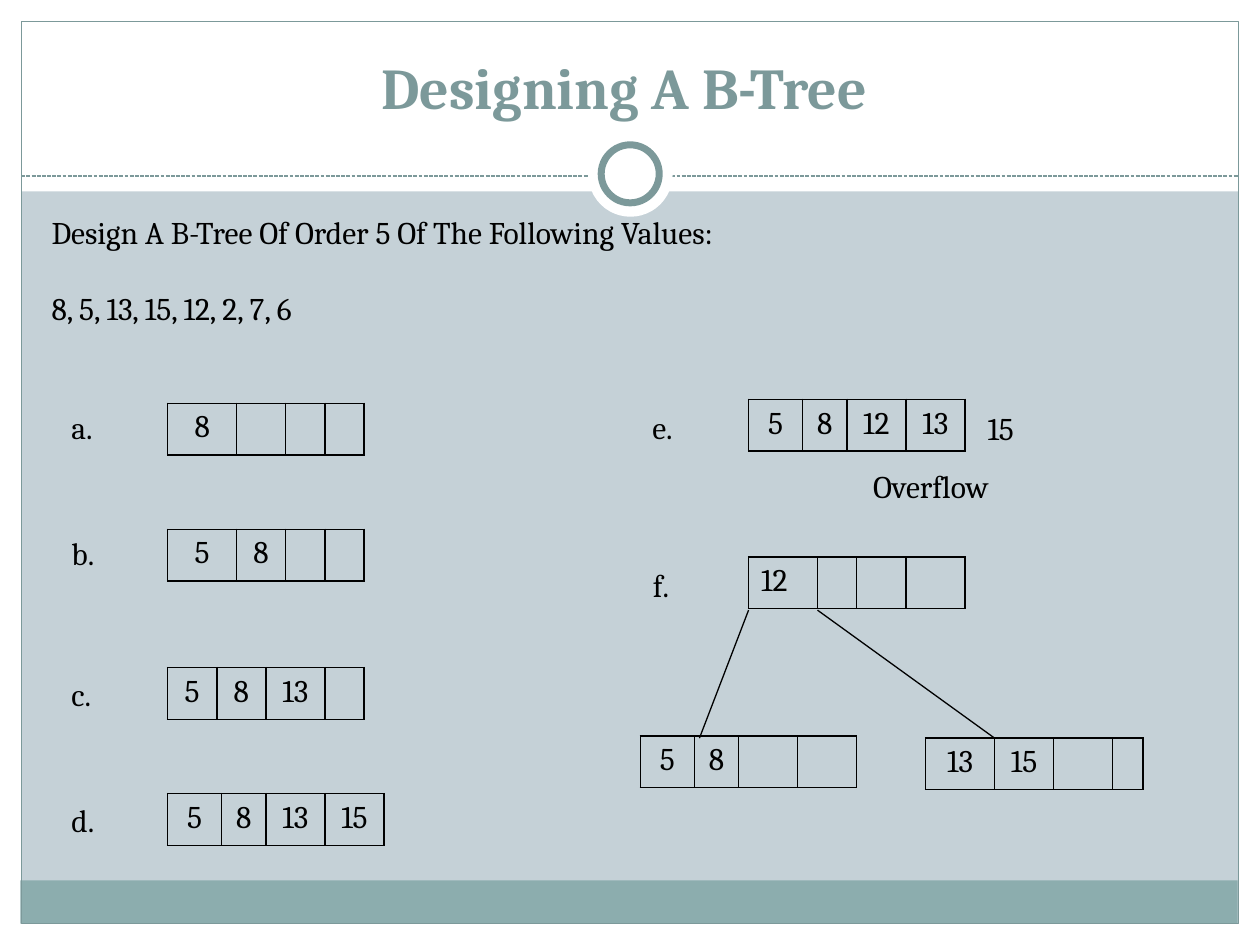
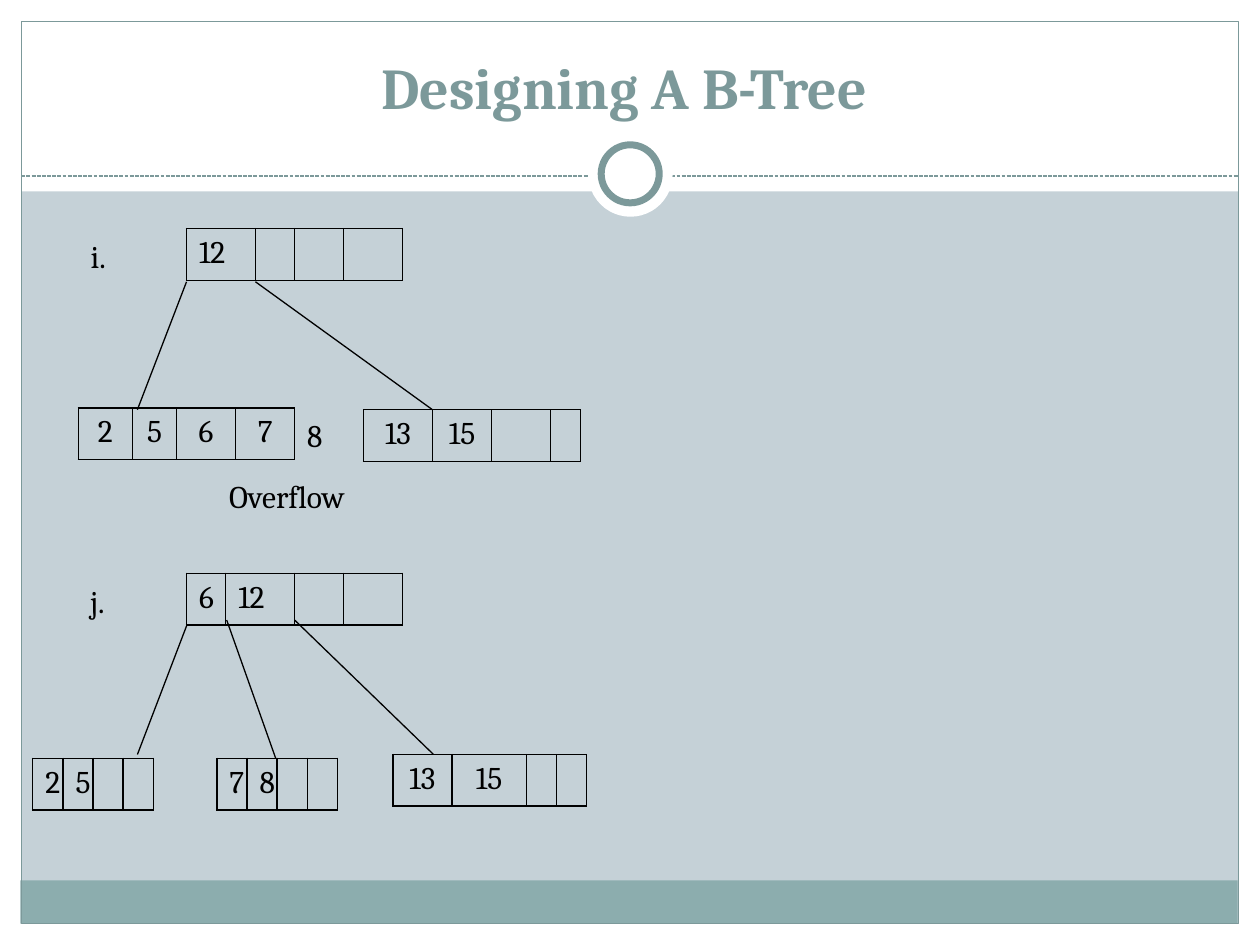
import pptx
import pptx.util
import pptx.dml.color
import pptx.enum.dml
import pptx.enum.shapes
import pptx.enum.text
import pptx.oxml
import lxml.etree

Cm = pptx.util.Cm
Pt = pptx.util.Pt
Align = pptx.enum.text.PP_ALIGN
Shape = pptx.enum.shapes.MSO_SHAPE
Rgb = pptx.dml.color.RGBColor.from_string
NAMESPACE = "http://schemas.openxmlformats.org/drawingml/2006/main"

COLORS = {
    "background": "C5D1D7",
    "paper": "FFFFFF",
    "footer": "8CADAE",
    "accent": "7C999A",
    "ink": "000000",
}
FONT = "Cambria"
TITLE = "Designing A B-Tree"
ROW_HEIGHT = 1.04
LABEL_HEIGHT = 1.02

FULL = (1.09, 0.89, 1.19, 1.19)
ROOT = (1.39, 0.79, 0.99, 1.19)
RIGHT_LEAF = (1.39, 1.19, 1.19, 0.59)
SHORT = (1.39, 0.99, 0.79, 0.79)
THREE_KEYS = (0.99, 0.99, 1.19, 0.79)
TWO_KEY_ROOT = (0.79, 1.39, 0.99, 1.19)
TINY = (0.59,) * 4
WIDE_LEAF = (1.19, 1.5, 0.59, 0.59)


def add_text(page, left, top, width, height, lines, size=18, color="ink", title=False):
    box = page.shapes.add_textbox(Cm(left), Cm(top), Cm(width), Cm(height))
    frame = box.text_frame
    frame.word_wrap = title
    if title:
        frame.vertical_anchor = pptx.enum.text.MSO_ANCHOR.BOTTOM
    else:
        frame.auto_size = pptx.enum.text.MSO_AUTO_SIZE.SHAPE_TO_FIT_TEXT
    for index, line in enumerate(lines):
        para = frame.add_paragraph() if index else frame.paragraphs[0]
        para.text = line
        para.alignment = Align.CENTER if title else Align.LEFT
        para.font.name = FONT
        para.font.size = Pt(size)
        para.font.bold = title
        para.font.color.rgb = Rgb(COLORS[color])
        if index:
            para.space_before = Pt(22)


def add_line(page, start, end, color, dash=None):
    line = page.shapes.add_connector(
        pptx.enum.shapes.MSO_CONNECTOR.STRAIGHT, *[Cm(value) for value in start + end]
    )
    line.line.color.rgb = Rgb(COLORS[color])
    line.line.width = Pt(0.75)
    if dash:
        line.line.dash_style = dash
    lxml.etree.SubElement(line._element.spPr, f"{{{NAMESPACE}}}effectLst")


frame_shapes = [
    (Shape.RECTANGLE, 0, 18.62, 25.4, 0.43, "paper", 0),
    (Shape.RECTANGLE, 0, 0, 25.4, 3.86, "paper", 0),
    (Shape.RECTANGLE, 0, 0, 0.43, 19.05, "paper", 0),
    (Shape.RECTANGLE, 24.97, 0, 0.43, 19.05, "paper", 0),
    (Shape.RECTANGLE, 0.41, 17.75, 24.54, 0.87, "footer", 0),
    (Shape.RECTANGLE, 0.43, 0.43, 24.54, 18.19, None, 0.75),
    (Shape.OVAL, 11.86, 2.67, 1.7, 1.7, "paper", 0),
    (Shape.OVAL, 12.12, 2.92, 1.17, 1.17, "paper", 4),
]

insertion_texts = [
    (0.79, 4.17, 15.62, 2.57,
     ["Design A B-Tree Of Order 5 Of The Following Values:", "8, 5, 13, 15, 12, 2, 7, 6"]),
    (12.9, 8.1, 0.99, LABEL_HEIGHT, ["e."]),
    (19.66, 8.13, 1.12, LABEL_HEIGHT, ["15"]),
    (17.35, 9.3, 3.1, LABEL_HEIGHT, ["Overflow"]),
]
insertion_nodes = [(15.09, 8.05, FULL, ["5", "8", "12", "13"], Align.CENTER)]
for label, label_top, label_width, node_top, widths, keys in [
    ("a.", 8.1, 1.02, 8.13, SHORT, ["8"]),
    ("b.", 10.64, 1.04, 10.67, SHORT, ["5", "8"]),
    ("c.", 13.49, 0.97, 13.46, THREE_KEYS, ["5", "8", "13"]),
    ("d.", 16.03, 1.07, 16, FULL, ["5", "8", "13", "15"]),
]:
    insertion_texts.append((1.19, label_top, label_width, LABEL_HEIGHT, [label]))
    insertion_nodes.append((3.38, node_top, widths, keys, Align.CENTER))

split_texts = [
    (5.94, 8.26, 0.89, LABEL_HEIGHT, ["8"]),
    (4.37, 9.5, 3.1, LABEL_HEIGHT, ["Overflow"]),
    (1.57, 11.61, 0.86, LABEL_HEIGHT, ["j."]),
]
split_nodes = [
    (3.76, 11.56, TWO_KEY_ROOT, ["6", "12"], Align.LEFT),
    (0.66, 15.29, TINY, ["2", "5"], Align.CENTER),
    (4.37, 15.29, TINY, ["7", "8"], Align.CENTER),
    (7.92, 15.21, WIDE_LEAF, ["13", "15"], Align.CENTER),
]
split_branches = [
    ((3.76, 12.62), (2.77, 15.21)),
    ((4.57, 12.5), (5.56, 15.29)),
    ((5.94, 12.5), (8.74, 15.21)),
]

pages = [
    (insertion_texts, insertion_nodes, [], ("f.", 15.09, 11.23, ["5", "8"])),
    (split_texts, split_nodes, split_branches, ("i.", 3.76, 4.61, ["2", "5", "6", "7"])),
]

deck = pptx.Presentation()
deck.slide_width = Cm(25.4)
deck.slide_height = Cm(19.05)

for texts, nodes, branches, (tree_label, root_left, root_top, left_keys) in pages:
    texts.append((root_left - 2.18, root_top + 0.05, 0.88, LABEL_HEIGHT, [tree_label]))
    nodes += [
        (root_left, root_top, ROOT, ["12"], Align.LEFT),
        (root_left - 2.18, root_top + 3.61, FULL, left_keys, Align.CENTER),
        (root_left + 3.57, root_top + 3.65, RIGHT_LEAF, ["13", "15"], Align.CENTER),
    ]
    for start, end in [(0, -0.99), (1.39, 4.96)]:
        branches.append(
            ((root_left + start, root_top + 1.07), (root_left + end, root_top + 3.65))
        )

    page = deck.slides.add_slide(deck.slide_layouts[6])
    page.background.fill.solid()
    page.background.fill.fore_color.rgb = Rgb(COLORS["background"])

    for kind, left, top, width, height, fill, line_width in frame_shapes:
        if kind == Shape.OVAL and not line_width:
            add_line(page, (0.43, 3.55), (24.97, 3.55), "accent",
                     pptx.enum.dml.MSO_LINE.SQUARE_DOT)
        shape = page.shapes.add_shape(kind, Cm(left), Cm(top), Cm(width), Cm(height))
        shape.shadow.inherit = False
        if fill:
            shape.fill.solid()
            shape.fill.fore_color.rgb = Rgb(COLORS[fill])
        else:
            shape.fill.background()
        if line_width:
            shape.line.color.rgb = Rgb(COLORS["accent"])
            shape.line.width = Pt(line_width)
        else:
            shape.line.fill.background()

    add_text(page, 4.75, 0.79, 15.67, 1.78, [TITLE], 33, "accent", True)
    for text in texts:
        add_text(page, *text)

    for left, top, widths, keys, alignment in nodes:
        table = page.shapes.add_table(
            1, len(widths), Cm(left), Cm(top), Cm(sum(widths)), Cm(ROW_HEIGHT)
        ).table
        table.first_row = False
        table.horz_banding = False
        for index, width in enumerate(widths):
            table.columns[index].width = Cm(width)
            cell = table.cell(0, index)
            para = cell.text_frame.paragraphs[0]
            if index < len(keys):
                para.text = keys[index]
            para.alignment = alignment
            para.font.name = FONT
            para.font.size = Pt(18)
            para.font.color.rgb = Rgb(COLORS["ink"])
            properties = cell._tc.get_or_add_tcPr()
            for side in ("lnL", "lnR", "lnT", "lnB"):
                properties.append(pptx.oxml.parse_xml(
                    f'<a:{side} xmlns:a="{NAMESPACE}" w="12700"><a:solidFill>'
                    f'<a:srgbClr val="{COLORS["ink"]}"/></a:solidFill></a:{side}>'
                ))
            cell.fill.background()

    for start, end in branches:
        add_line(page, start, end, "ink")

deck.save("out.pptx")
